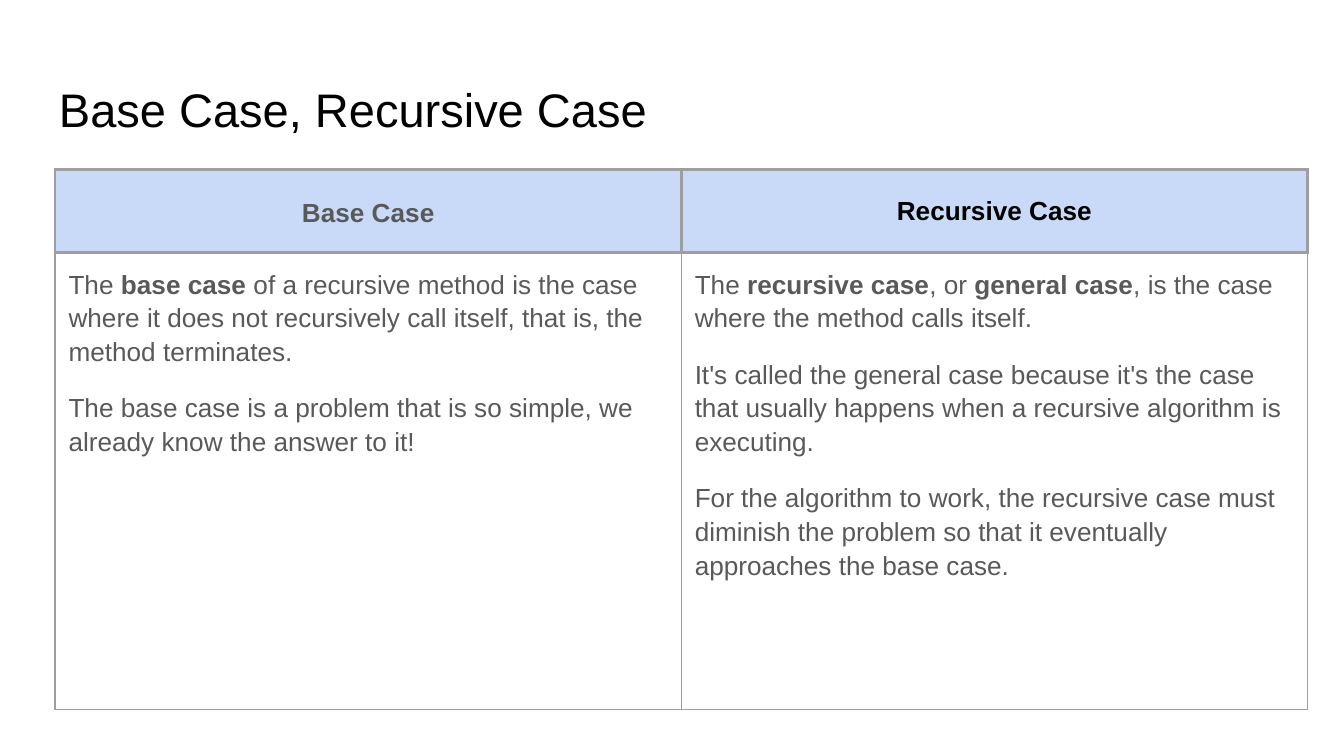
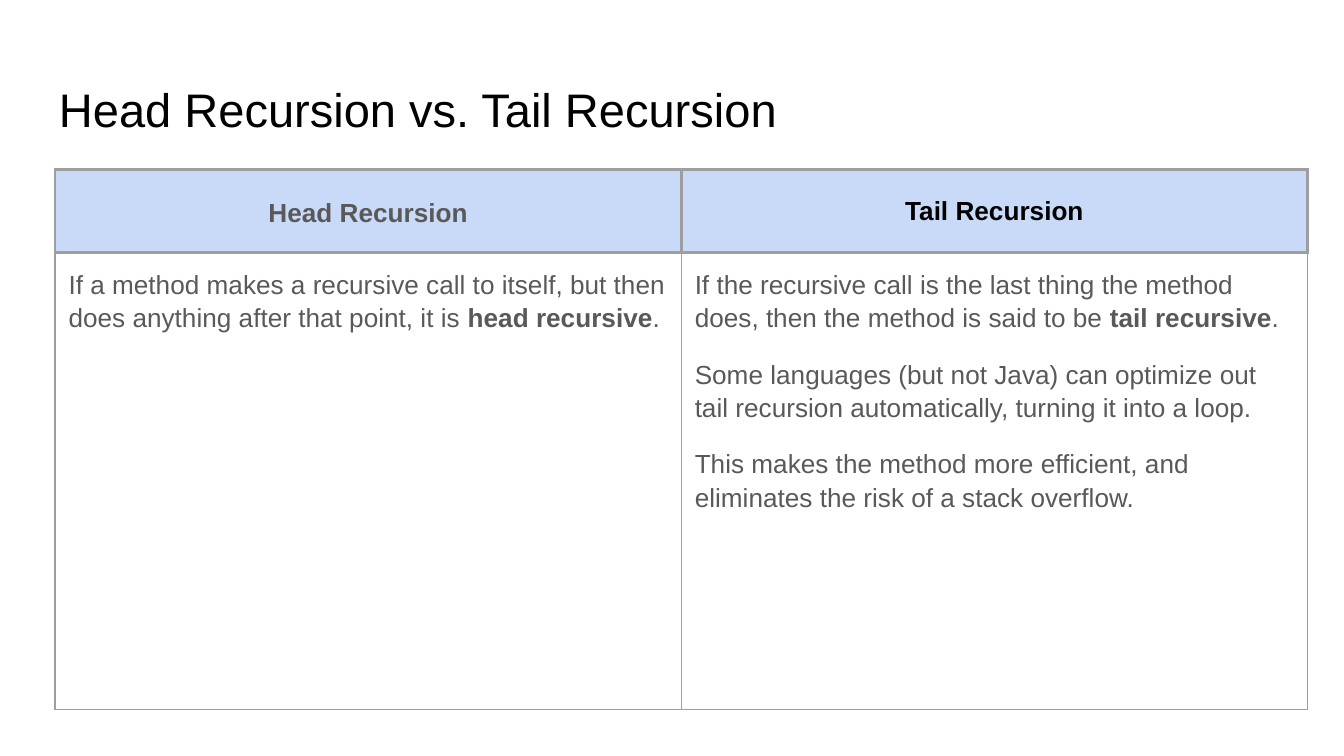
from pptx import Presentation
from pptx.dml.color import RGBColor
from pptx.enum.text import MSO_ANCHOR, PP_ALIGN
from pptx.oxml import parse_xml
from pptx.oxml.ns import nsdecls
from pptx.util import Pt

# Shared look
FONT = "Arial"
BLACK, GREY, BLUE, EDGE, WHITE = "000000", "595959", "C9DAF8", "9E9E9E", "FFFFFF"
PAD = 7.2
TITLE = (24.5, 35.3, 671, 45.2)
TABLE = (29.5, 90.7, 671, 289.4)
HEAD = 44.6

# Each slide: title, then columns of heading and paragraphs; ** marks bold
PAGES = [
    ("Base Case, Recursive Case", [
        ("Base Case", [
            "The **base case** of a recursive method is the case where it does "
            "not recursively call itself, that is, the method terminates.",
            "The base case is a problem that is so simple, we already know "
            "the answer to it!"]),
        ("Recursive Case", [
            "The **recursive case**, or **general case**, is the case where "
            "the method calls itself.",
            "It's called the general case because it's the case that usually "
            "happens when a recursive algorithm is executing.",
            "For the algorithm to work, the recursive case must diminish the "
            "problem so that it eventually approaches the base case."])]),
    ("Head Recursion vs. Tail Recursion", [
        ("Head Recursion", [
            "If a method makes a recursive call to itself, but then does "
            "anything after that point, it is **head recursive**."]),
        ("Tail Recursion", [
            "If the recursive call is the last thing the method does, then "
            "the method is said to be **tail recursive**.",
            "Some languages (but not Java) can optimize out tail recursion "
            "automatically, turning it into a loop.",
            "This makes the method more efficient, and eliminates the risk "
            "of a stack overflow."])]),
]


def paint(fill, color):
    fill.solid()
    fill.fore_color.rgb = RGBColor.from_string(color)


def write(frame, paras, size=14, color=GREY, bold=False, align=PP_ALIGN.LEFT,
          line=1.15, gap=12, last=12):
    """Fill a frame; gap goes before each later paragraph, last after the end."""
    frame.word_wrap = True
    for i, text in enumerate(paras):
        para = frame.add_paragraph() if i else frame.paragraphs[0]
        para.alignment, para.line_spacing = align, line
        para.space_before = Pt(gap if i else 0)
        para.space_after = Pt(last if i == len(paras) - 1 else 0)
        for j, part in enumerate(text.split("**")):
            run = para.add_run()
            run.text = part
            font = run.font
            font.name, font.size = FONT, Pt(size)
            font.bold = bold or j % 2 == 1
            font.color.rgb = RGBColor.from_string(color)


def pad(part):
    part.margin_left = part.margin_right = Pt(PAD)
    part.margin_top = part.margin_bottom = Pt(PAD)


def border(cell, **widths):
    """Draw cell edges; the lines come before the fill in the cell's XML."""
    props = cell._tc.get_or_add_tcPr()
    for i, side in enumerate("LRTB"):
        props.insert(i, parse_xml(
            f'<a:ln{side} {nsdecls("a")} w="{Pt(widths[side])}"><a:solidFill>'
            f'<a:srgbClr val="{EDGE}"/></a:solidFill></a:ln{side}>'))


def title(slide, box, text):
    frame = slide.shapes.add_textbox(*map(Pt, box)).text_frame
    pad(frame)
    frame.vertical_anchor = MSO_ANCHOR.BOTTOM
    write(frame, [text], size=25.2, color=BLACK, line=1, last=0)


def compare(slide, box, cols):
    """Place a table with one heading row and one row of body text."""
    table = slide.shapes.add_table(2, len(cols), *map(Pt, box)).table
    wide, high = box[2:]
    table.rows[0].height, table.rows[1].height = Pt(HEAD), Pt(high - HEAD)
    for i, (head, body) in enumerate(cols):
        table.columns[i].width = Pt(wide / len(cols))
        top, low = table.cell(0, i), table.cell(1, i)

        # Heading: the first is grey with space below, the rest are black
        look = dict(color=BLACK, line=1, last=0) if i else {}
        write(top.text_frame, [head], bold=True, align=PP_ALIGN.CENTER, **look)
        top.vertical_anchor = MSO_ANCHOR.MIDDLE
        paint(top.fill, BLUE)
        border(top, L=1.5, R=1.5, T=1.5, B=1.5)

        # Body
        write(low.text_frame, body)
        low.vertical_anchor = MSO_ANCHOR.TOP
        low.fill.background()
        border(low, L=0.75, R=0.75, T=1.5, B=0.75)
        pad(top)
        pad(low)


def main():
    deck = Presentation()
    deck.slide_width, deck.slide_height = Pt(720), Pt(405)
    for name, cols in PAGES:
        slide = deck.slides.add_slide(deck.slide_layouts[6])
        paint(slide.background.fill, WHITE)
        title(slide, TITLE, name)
        compare(slide, TABLE, cols)
    deck.save("out.pptx")


if __name__ == "__main__":
    main()
